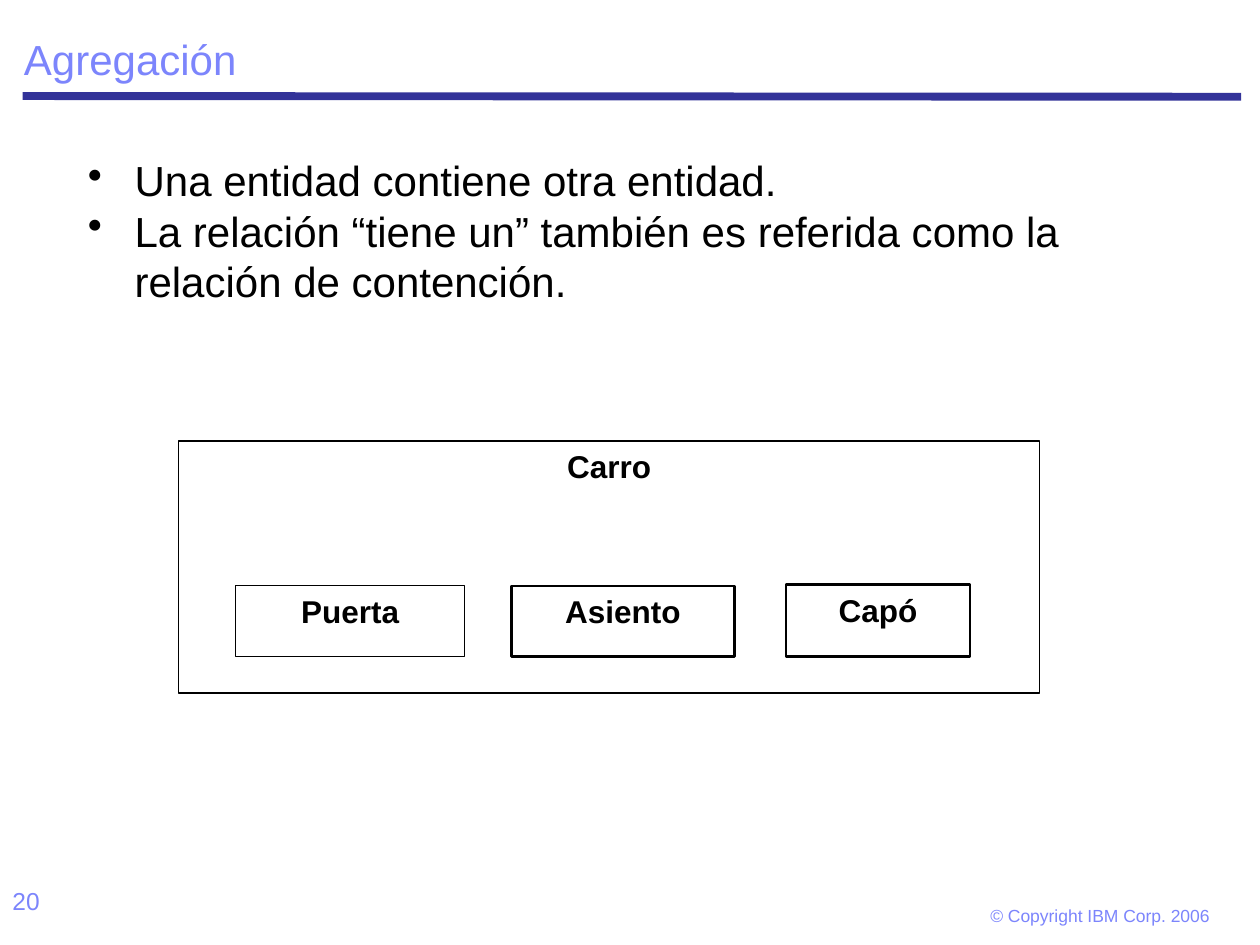
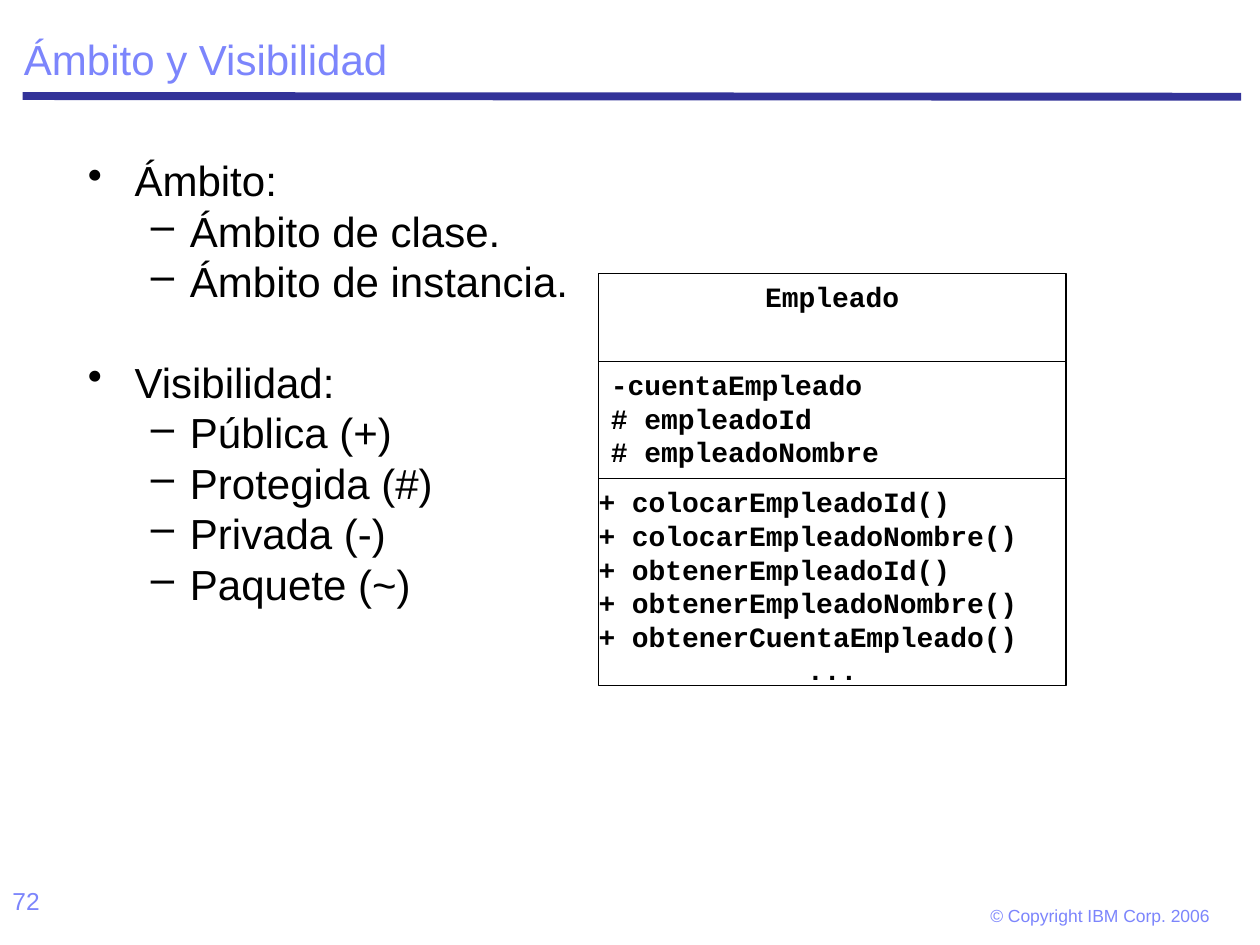
from lxml.etree import SubElement
from pptx import Presentation
from pptx.dml.color import RGBColor
from pptx.enum.shapes import MSO_CONNECTOR, MSO_SHAPE
from pptx.enum.text import MSO_ANCHOR, MSO_AUTO_SIZE, PP_ALIGN
from pptx.oxml.ns import qn
from pptx.util import Pt

BLACK, WHITE, LILAC, NAVY = "000000", "FFFFFF", "7C85FC", "333399"
SANS, MONO = "Arial", "Courier New"
LEFT, MID = PP_ALIGN.LEFT, PP_ALIGN.CENTER
TITLE = {"name": SANS, "size": Pt(24), "bold": False}
BODY = {"name": SANS, "size": Pt(24)}
PART = {"name": SANS, "size": Pt(18), "bold": True}
CODE = {"name": MONO, "size": Pt(16), "bold": True}
PAGE = {"name": SANS, "size": Pt(14)}
COPY = {"name": SANS, "size": Pt(10)}
LEAD = 1.2
# bullet sign, left margin and hanging indent for each level
LEVELS = [("•", 26.64, 26.64), ("–", 58.32, 22.32)]


def paint(color):
    return RGBColor.from_string(color)


def apply(item, values):
    for key, value in values.items():
        setattr(item, key, value)


def place(item, box):
    apply(item, dict(zip(("left", "top", "width", "height"), map(Pt, box))))


def setup(frame, pad=(7.2, 3.6), anchor=MSO_ANCHOR.TOP, wrap=True):
    side, edge = map(Pt, pad)
    apply(frame, {"margin_left": side, "margin_right": side,
                  "margin_top": edge, "margin_bottom": edge,
                  "vertical_anchor": anchor, "word_wrap": wrap,
                  "auto_size": MSO_AUTO_SIZE.NONE})


def write(para, text, style, color=BLACK, align=LEFT, space=None):
    run = para.add_run()
    run.text = text
    apply(run.font, style)
    run.font.color.rgb = paint(color)
    apply(para, {"alignment": align, "line_spacing": space})


def fill(frame, lines, style, align=LEFT):
    """Write each line as a paragraph with fixed leading."""
    for i, line in enumerate(lines):
        para = frame.add_paragraph() if i else frame.paragraphs[0]
        write(para, line, style, align=align, space=Pt(style["size"].pt * LEAD))


def label(slide, box, text, style, **opts):
    frame = slide.shapes.add_textbox(*map(Pt, box)).text_frame
    setup(frame, **opts)
    write(frame.paragraphs[0], text, style, LILAC)


def rect(shapes, box, lines, style, align=MID, width=0.75, pad=(7.2, 3.6), back=None):
    shape = shapes.add_shape(MSO_SHAPE.RECTANGLE, *map(Pt, box))
    shape.shadow.inherit = False
    if back:
        shape.fill.solid()
        shape.fill.fore_color.rgb = paint(back)
    else:
        shape.fill.background()
    shape.line.color.rgb = paint(BLACK)
    shape.line.width = Pt(width)
    setup(shape.text_frame, pad)
    fill(shape.text_frame, lines, style, align)
    return shape.text_frame


def start(deck, title, page):
    """Add a slide with its title, rule, page number and copyright line."""
    slide = deck.slides.add_slide(deck.slide_layouts[5])
    head = slide.shapes.title
    place(head, (6.5, 6.5, 705.6, 45.36))
    setup(head.text_frame, anchor=MSO_ANCHOR.BOTTOM)
    write(head.text_frame.paragraphs[0], title, TITLE, LILAC, space=0.9)
    rule = slide.shapes.add_connector(
        MSO_CONNECTOR.STRAIGHT, Pt(13), Pt(54.9), Pt(709.2), Pt(55.3))
    rule.line.color.rgb = paint(NAVY)
    rule.line.width = Pt(4.5)
    SubElement(rule._element.spPr, qn("a:effectLst"))
    label(slide, (0, 502.6, 168, 37.4), page, PAGE)
    label(slide, (555.1, 511.9, 146.9, 23), "© Copyright IBM Corp. 2006", COPY,
          pad=(10.8, 5.04), wrap=False)
    return slide


def bullets(slide, box, items):
    """Fill a box with (level, text) items; a new group gets a blank line's gap."""
    frame = slide.shapes.add_textbox(*map(Pt, box)).text_frame
    setup(frame)
    fill(frame, [text for _, text in items], BODY)
    last = 0
    for para, (level, _) in zip(frame.paragraphs, items):
        sign, left, hang = LEVELS[level]
        para.level = level
        if level < last:
            para.space_before = Pt(BODY["size"].pt * LEAD)
        props = para._p.get_or_add_pPr()
        props.set("marL", str(Pt(left)))
        props.set("indent", str(-Pt(hang)))
        tint = SubElement(props, qn("a:buClr"))
        SubElement(tint, qn("a:srgbClr")).set("val", BLACK)
        SubElement(props, qn("a:buChar")).set("char", sign)
        last = level


def car(slide, box):
    x, y = box[:2]
    shapes = slide.shapes.add_group_shape().shapes
    rect(shapes, box, ["Carro"], PART)
    for name, left, top, wide, high, line in (
            ("Puerta", 32.4, 82.8, 131, 40.3, 0.75),
            ("Asiento", 190.1, 82.8, 127.4, 40.3, 1.5),
            ("Capó", 347, 82.1, 105.1, 41, 1.5)):
        rect(shapes, (x + left, y + top, wide, high), [name], PART, width=line)


def staff(slide, box):
    """Stack the name, fields and methods of the class."""
    x, y, wide, high = box
    shapes = slide.shapes.add_group_shape().shapes
    fields = ["-cuentaEmpleado", "# empleadoId", "# empleadoNombre"]
    calls = ["+ colocarEmpleadoId()", "+ colocarEmpleadoNombre()",
             "+ obtenerEmpleadoId()", "+ obtenerEmpleadoNombre()",
             "+ obtenerCuentaEmpleado()", "..."]
    cuts = (0, 50.4, 117.4, high)
    rows = ((["Empleado"], MID, 7.2), (fields, LEFT, 7.2), (calls, LEFT, 0))
    for top, end, (lines, align, side) in zip(cuts, cuts[1:], rows):
        frame = rect(shapes, (x, y + top, wide, end - top), lines, CODE, align,
                     pad=(side, 3.6), back=WHITE)
    frame.paragraphs[-1].alignment = MID


def main():
    deck = Presentation()
    deck.slide_width, deck.slide_height = Pt(720), Pt(540)
    body = (43.2, 85, 633.6, 387.4)

    slide = start(deck, "Agregación", "20")
    car(slide, (102.2, 252, 491.8, 144))
    bullets(slide, body, [
        (0, "Una entidad contiene otra entidad."),
        (0, "La relación “tiene un” también es referida como la relación de contención.")])

    slide = start(deck, "Ámbito y Visibilidad", "72")
    staff(slide, (342, 156.2, 267.1, 235.4))
    bullets(slide, body, [
        (0, "Ámbito:"), (1, "Ámbito de clase."), (1, "Ámbito de instancia."),
        (0, "Visibilidad:"), (1, "Pública (+)"), (1, "Protegida (#)"),
        (1, "Privada (-)"), (1, "Paquete (~)")])
    deck.save("out.pptx")


if __name__ == "__main__":
    main()
